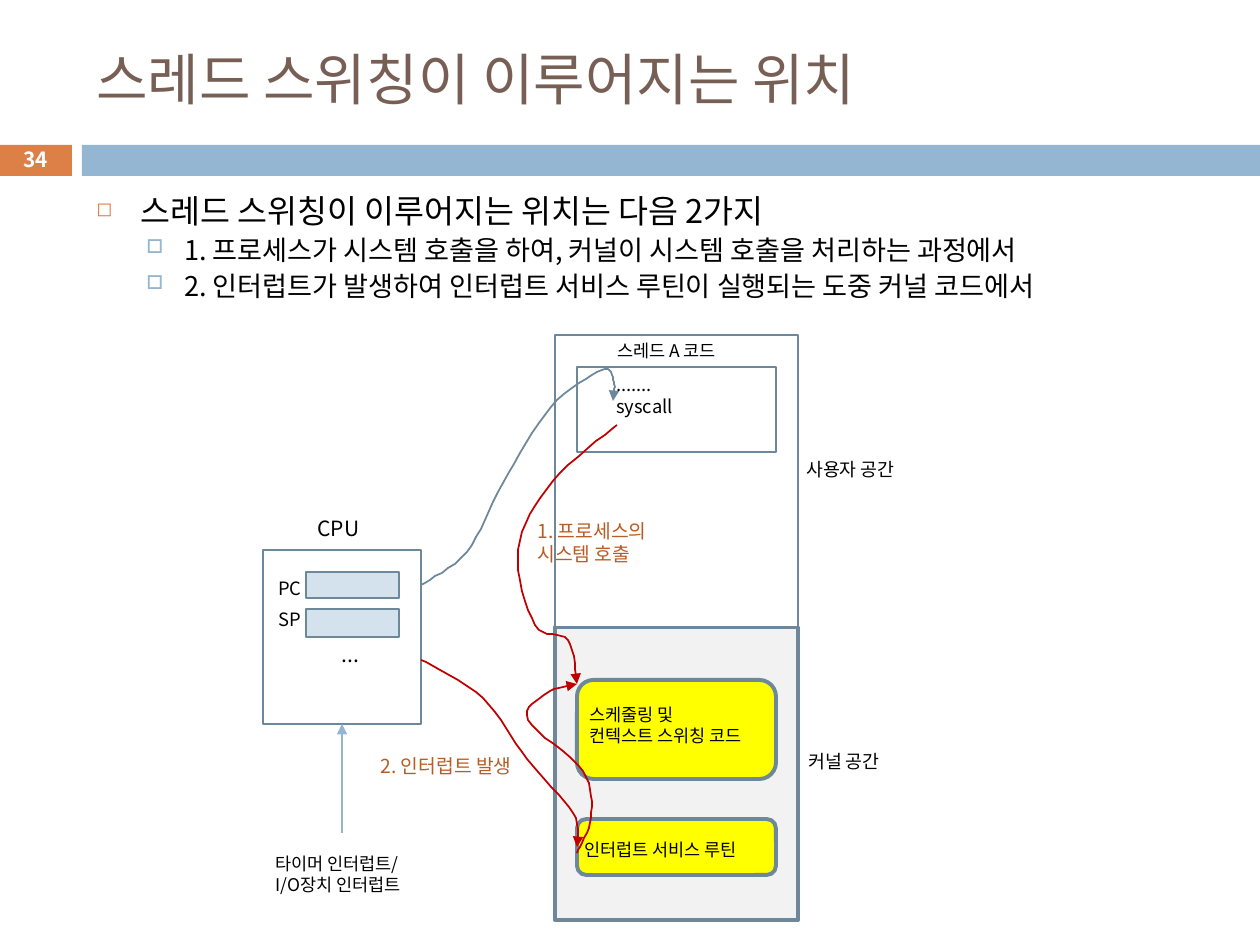
import pptx
import pptx.util
import pptx.dml.color
import pptx.enum.shapes
import pptx.enum.text
import pptx.oxml.ns
from lxml import etree

RGBColor = pptx.dml.color.RGBColor
Pt = pptx.util.Pt
SHAPE = pptx.enum.shapes.MSO_SHAPE
ALIGN = pptx.enum.text.PP_ALIGN
ANCHOR = pptx.enum.text.MSO_ANCHOR
qn = pptx.oxml.ns.qn

BLACK = RGBColor(0x00, 0x00, 0x00)
WHITE = RGBColor(0xFF, 0xFF, 0xFF)
GRAY = RGBColor(0xF2, 0xF2, 0xF2)
BROWN = RGBColor(0x77, 0x5F, 0x55)
ORANGE = RGBColor(0xDD, 0x80, 0x47)
RUST = RGBColor(0xB9, 0x5B, 0x22)
BLUE = RGBColor(0x94, 0xB6, 0xD2)
PALE_BLUE = RGBColor(0xD4, 0xE2, 0xED)
SLATE = RGBColor(0x6D, 0x87, 0x9B)
YELLOW = RGBColor(0xFF, 0xFF, 0x00)
RED = RGBColor(0xC0, 0x00, 0x00)

# Boxes that the arrows join: left, top, width, height
CPU = (263, 550, 158, 174)
CODE = (577, 367, 199, 85)
SCHEDULER = (577, 680, 199, 99)
ISR = (577, 819, 199, 56)


def at(box, across, down):
    """Return the point at the given fractions of a box."""
    left, top, width, height = box
    return left + across * width, top + down * height


def spline(knots, steps=8):
    """Return points on a smooth (Catmull-Rom) curve through the knots."""
    padded = [knots[0], *knots, knots[-1]]
    points = [knots[0]]
    for quad in zip(padded, padded[1:], padded[2:], padded[3:]):
        for i in range(1, steps + 1):
            t = i / steps
            points.append(tuple(
                b + t / 2 * (c - a + t * (2 * a - 5 * b + 4 * c - e
                                          + t * (3 * (b - c) + e - a)))
                for a, b, c, e in zip(*quad)))
    return points


class Deck:
    """Holds the style and the slide being drawn."""
    font = "Noto Sans CJK KR"
    scale = 914400 / 126

    def __init__(self):
        """Open a 10 by 7.5 inch deck with one blank slide."""
        self.prs = pptx.Presentation()
        self.prs.slide_width = self.px(1260)
        self.prs.slide_height = self.px(945)
        self.s = self.prs.slides.add_slide(self.prs.slide_layouts[6])

    def px(self, n):
        """Turn pixels into EMU."""
        return pptx.util.Emu(round(n * self.scale))

    def paint(self, sp, fill, line, width):
        """Set fill and outline, and drop the shadow."""
        sp.shadow.inherit = False
        if fill is None:
            sp.fill.background()
        else:
            sp.fill.solid()
            sp.fill.fore_color.rgb = fill
        if line is None:
            sp.line.fill.background()
        else:
            sp.line.color.rgb = line
            sp.line.width = Pt(width)

    def shape(self, kind, box, fill=None, line=None, width=0.75):
        """Add a preset shape."""
        sp = self.s.shapes.add_shape(kind, *map(self.px, box))
        self.paint(sp, fill, line, width)

    def arrowhead(self, sp):
        """Put a triangle at the end of a line."""
        etree.SubElement(sp.line._get_or_add_ln(), qn("a:tailEnd"), type="triangle")

    def curve(self, color, *knots):
        """Add a curved arrow through the knots."""
        points = spline(knots)
        fb = self.s.shapes.build_freeform(*points[0], scale=self.scale)
        fb.add_line_segments(points[1:], close=False)
        sp = fb.convert_to_shape()
        self.paint(sp, None, color, 1)
        self.arrowhead(sp)

    def arrow(self, start, end, color, width):
        """Add a straight arrow."""
        sp = self.s.shapes.add_connector(
            pptx.enum.shapes.MSO_CONNECTOR.STRAIGHT, *map(self.px, (*start, *end)))
        sp.line.color.rgb = color
        sp.line.width = Pt(width)
        self.arrowhead(sp)
        etree.SubElement(sp._element.spPr, qn("a:effectLst"))

    def run(self, p, text, size, color=BLACK, bold=False):
        """Add one run to a paragraph."""
        r = p.add_run()
        r.text = text
        r.font.size = Pt(size)
        r.font.name = self.font
        r.font.bold = bold
        r.font.color.rgb = color
        etree.SubElement(r._r.get_or_add_rPr(), qn("a:ea"), typeface=self.font)

    def frame(self, box, anchor=ANCHOR.TOP):
        """Add an empty wrapping text box and return its text frame."""
        tf = self.s.shapes.add_textbox(*map(self.px, box)).text_frame
        tf.word_wrap = True
        tf.vertical_anchor = anchor
        return tf

    def text(self, box, lines, size, color=BLACK, bold=False,
             align=ALIGN.LEFT, anchor=ANCHOR.TOP):
        """Add a text box with one paragraph for each line."""
        tf = self.frame(box, anchor)
        for i, line in enumerate(lines.split("\n")):
            p = tf.add_paragraph() if i else tf.paragraphs[0]
            p.alignment = align
            self.run(p, line, size, color, bold)

    def bullet(self, p, left, hang, char, color, percent):
        """Give a paragraph a hanging bullet."""
        pPr = p._p.get_or_add_pPr()
        pPr.set("marL", str(self.px(left)))
        pPr.set("indent", str(-self.px(hang)))
        clr = etree.SubElement(pPr, qn("a:buClr"))
        etree.SubElement(clr, qn("a:srgbClr"), val=str(color))
        etree.SubElement(pPr, qn("a:buSzPct"), val=str(percent * 1000))
        etree.SubElement(pPr, qn("a:buChar"), char=char)

    def outline(self, box, items):
        """Add the bulleted body from (level, text) pairs."""
        tf = self.frame(box)
        for i, (level, text) in enumerate(items):
            p = tf.add_paragraph() if i else tf.paragraphs[0]
            p.level = level
            p.space_before = Pt(5.5 if level else 7)
            if level:
                p.line_spacing = 0.8
                self.bullet(p, 88, 38, "□", BLUE, 70)
            else:
                self.bullet(p, 44, 44, "◻", ORANGE, 60)
            self.run(p, text, 15.5 if level else 18.6)


d = Deck()

# Header and body
for left, width, color in ((-1, 73, ORANGE), (82, 1178, BLUE)):
    d.shape(SHAPE.RECTANGLE, (left, 145, width, 31), color)
d.text((84, 32, 1124, 93), "스레드 스위칭이 이루어지는 위치", 32, BROWN, anchor=ANCHOR.MIDDLE)
d.text((-1, 142, 73, 34), "34", 11.9, WHITE, True, ALIGN.CENTER, ANCHOR.MIDDLE)
d.outline((84, 185, 1124, 136), [
    (0, "스레드 스위칭이 이루어지는 위치는 다음 2가지"),
    (1, "1. 프로세스가 시스템 호출을 하여, 커널이 시스템 호출을 처리하는 과정에서"),
    (1, "2. 인터럽트가 발생하여 인터럽트 서비스 루틴이 실행되는 도중 커널 코드에서")])

# Kernel space below user space
for top, height, fill, width in ((627, 293, GRAY, 2.25), (335, 292, WHITE, 0.75)):
    d.shape(SHAPE.RECTANGLE, (555, top, 243, height), fill, SLATE, width)

# CPU with its registers, thread code, kernel routines
d.shape(SHAPE.FLOWCHART_PROCESS, CPU, None, SLATE)
for name, top, height, name_top in (("PC", 572, 26, 571), ("SP", 609, 28, 602)):
    d.shape(SHAPE.FLOWCHART_PROCESS, (306, top, 93, height), PALE_BLUE, SLATE)
    d.text((264, name_top, 52, 36), name, 10.5, align=ALIGN.CENTER)
d.shape(SHAPE.RECTANGLE, CODE, None, SLATE)
for routine in (SCHEDULER, ISR):
    d.shape(SHAPE.ROUNDED_RECTANGLE, routine, YELLOW, SLATE, 2.25)

# Labels
for box, lines, size, color in (
        ((305, 509, 79, 38), "CPU", 12, BLACK),
        ((329, 635, 79, 38), "...", 12, BLACK),
        ((794, 452, 131, 35), "사용자 공간", 10.5, BLACK),
        ((796, 744, 116, 35), "커널 공간", 10.5, BLACK),
        ((605, 334, 155, 35), "스레드 A 코드", 10, BLACK),
        ((604, 367, 87, 57), ".......\nsyscall", 10.5, BLACK),
        ((577, 698, 197, 55), "스케줄링 및\n컨텍스트 스위칭 코드", 10, BLACK),
        ((572, 833, 197, 34), "인터럽트 서비스 루틴", 10, BLACK),
        ((263, 847, 164, 55), "타이머 인터럽트/\nI/O장치 인터럽트", 10, BLACK),
        ((525, 513, 151, 59), "1. 프로세스의\n시스템 호출", 11, RUST),
        ((368, 748, 170, 37), "2. 인터럽트 발생", 11, RUST)):
    d.text(box, lines, size, color)

# Arrows: each starts and ends on a box and bends through a few knots
syscall_line = at(CODE, 0.18, 0.4)
after_syscall = at(CODE, 0.2, 0.68)
scheduler_entry = at(SCHEDULER, 0, 0.04)
d.arrow((342, 833), at(CPU, 0.5, 1), BLUE, 0.79)
d.curve(SLATE, at(CPU, 1, 0.2), (467, 552), (503, 483), (551, 407),
        (602, 370), (614, 382), syscall_line)
d.curve(RED, at(CPU, 1, 0.63), (483, 698), (527, 759), (573, 813), at(ISR, 0, 0.5))
d.curve(RED, after_syscall, (553, 481), (518, 550), (535, 625), (568, 640),
        scheduler_entry)
d.curve(RED, at(ISR, 0, 0.6), (591, 818), (583, 771), (528, 720), (547, 693),
        scheduler_entry)

d.prs.save("out.pptx")
